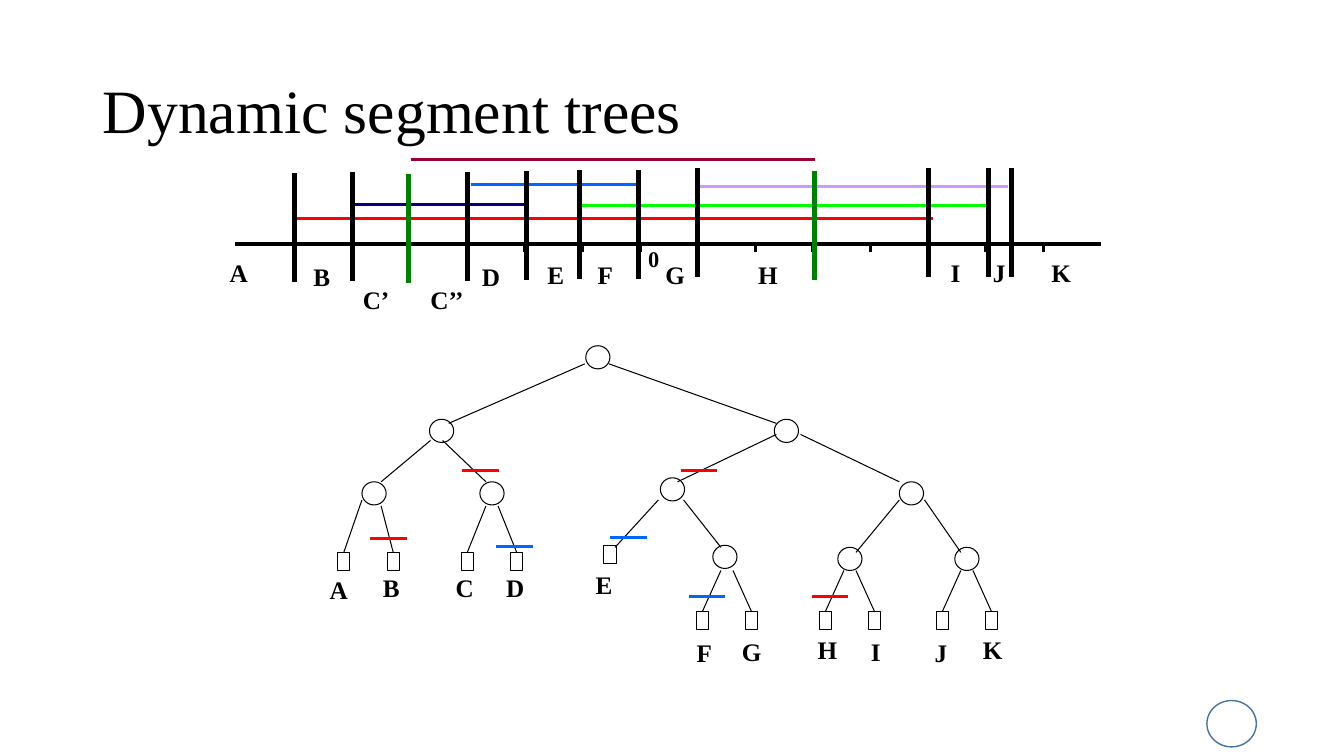
from pptx import Presentation
from pptx.dml.color import RGBColor
from pptx.enum.shapes import MSO_CONNECTOR, MSO_SHAPE
from pptx.enum.text import MSO_ANCHOR, PP_ALIGN
from pptx.oxml.ns import qn
from pptx.util import Inches, Pt
from lxml import etree

STRAIGHT = MSO_CONNECTOR.STRAIGHT
OVAL, RECT = MSO_SHAPE.OVAL, MSO_SHAPE.RECTANGLE
MIDDLE, LEFT = MSO_ANCHOR.MIDDLE, PP_ALIGN.LEFT
FONT = "Times New Roman"
BLACK = RGBColor(0x00, 0x00, 0x00)
RED = RGBColor(0xFF, 0x00, 0x00)
BLUE = RGBColor(0x00, 0x66, 0xFF)
NAVY = RGBColor(0x00, 0x00, 0x80)
LIME = RGBColor(0x00, 0xFF, 0x00)
GREEN = RGBColor(0x00, 0x80, 0x00)
LILAC = RGBColor(0xCC, 0x99, 0xFF)
WINE = RGBColor(0x99, 0x00, 0x33)
STEEL = RGBColor(0x43, 0x73, 0x9E)

deck = Presentation()
deck.slide_width, deck.slide_height = Inches(13.33), Inches(7.5)
slide = deck.slides.add_slide(deck.slide_layouts[5])
shapes = slide.shapes


def add_line(x1, y1, x2, y2, color=BLACK, width=0.75):
    line = shapes.add_connector(STRAIGHT, Inches(x1), Inches(y1), Inches(x2), Inches(y2))
    line.line.color.rgb = color
    line.line.width = Pt(width)
    etree.SubElement(line._element.spPr, qn("a:effectLst"))


def add_node(kind, x, y, w, h, color=BLACK, width=0.75):
    node = shapes.add_shape(kind, Inches(x), Inches(y), Inches(w), Inches(h))
    node.shadow.inherit = False
    node.fill.background()
    node.line.color.rgb = color
    node.line.width = Pt(width)


# Title
title = shapes.title
title.left, title.top = Inches(0.92), Inches(0.4)
title.width, title.height = Inches(11.5), Inches(1.45)
frame = title.text_frame
frame.text = "Dynamic segment trees"
frame.vertical_anchor = MIDDLE
para = frame.paragraphs[0]
para.alignment = LEFT
para.line_spacing = 0.9
para.font.size = Pt(44)
para.font.name = FONT
para.font.color.rgb = BLACK

# Page number ring
add_node(OVAL, 11.97, 6.95, 0.49, 0.46, STEEL, 1)

# Segments above the axis
for x1, x2, y, color, width in [
    (5.75, 9.83, 2.04, LIME, 2), (6.92, 10, 1.85, LILAC, 2),
    (3.5, 5.25, 2.03, NAVY, 2), (4.67, 6.33, 1.83, BLUE, 2),
    (2.92, 9.25, 2.17, RED, 2), (4.08, 8.08, 1.58, WINE, 2.5),
]:
    add_line(x1, y, x2, y, color, width)

# Axis with even ticks
add_line(2.33, 2.42, 10.92, 2.42, BLACK, 2.5)
for i in range(14):
    tick = 2.92 + i * 7.43 / 13
    add_line(tick, 2.42, tick, 2.5, BLACK, 2.5)

# Segment end bars
for x, top, color in [
    (2.92, 1.72, BLACK), (3.5, 1.71, BLACK), (4.64, 1.71, BLACK),
    (5.22, 1.7, BLACK), (5.75, 1.69, BLACK), (6.33, 1.69, BLACK),
    (6.92, 1.67, BLACK), (9.21, 1.67, BLACK), (9.8, 1.67, BLACK),
    (10.03, 1.67, BLACK), (4.05, 1.73, GREEN), (8.08, 1.7, GREEN),
]:
    add_line(x, top, x, top + 1.08, color, 3.5)

# Inner tree nodes
for x, y in [
    (5.81, 3.43), (4.26, 4.16), (7.68, 4.16), (3.59, 4.78), (4.76, 4.78),
    (6.55, 4.74), (8.92, 4.78), (7.07, 5.41), (8.31, 5.43), (9.47, 5.43),
]:
    add_node(OVAL, x, y, 0.24, 0.23)

# Tree edges
for edge in [
    (5.8, 3.61, 4.45, 4.2), (6.04, 3.61, 7.7, 4.2),
    (4.27, 4.37, 3.78, 4.78), (4.39, 4.37, 4.82, 4.78),
    (7.7, 4.31, 6.72, 4.78), (7.94, 4.31, 8.92, 4.78),
    (3.59, 4.96, 3.41, 5.48), (3.78, 5.02, 3.9, 5.48),
    (6.53, 4.96, 6.1, 5.43), (6.78, 4.96, 7.15, 5.43),
    (8.92, 4.96, 8.49, 5.48), (9.17, 4.96, 9.53, 5.48),
]:
    add_line(*edge)

# Leaves: single ones, then pairs below a shared parent
leaves = [(3.41, 5.48), (3.9, 5.48), (6.05, 5.41)]
for mid, top, base in [
    (4.88, 5.02, 5.48), (7.21, 5.66, 6.07), (8.43, 5.66, 6.07), (9.59, 5.66, 6.07),
]:
    for side in (-1, 1):
        leaf = mid + side * 0.245
        add_line(mid + side * 0.06, top, leaf, base)
        leaves.append((leaf, base))
for x, y in leaves:
    add_node(RECT, x - 0.06, y, 0.12, 0.18)

# Segment marks on the tree
for x, y, color in [
    (4.92, 5.42, BLUE), (6.05, 5.33, BLUE), (6.83, 5.92, BLUE), (3.67, 5.34, RED),
    (4.58, 4.67, RED), (6.75, 4.67, RED), (8.05, 5.92, RED),
]:
    add_line(x, y, x + 0.365, y, color, 2)

# Labels: text, left, top, width, size, turn
axis = [
    ("A", 2.18, 2.5), ("B", 3.01, 2.54), ("D", 4.68, 2.54), ("E", 5.33, 2.52),
    ("F", 5.83, 2.52), ("G", 6.5, 2.52), ("H", 7.42, 2.52), ("I", 9.33, 2.5),
    ("J", 9.75, 2.5), ("K", 10.33, 2.5),
]
tree = [
    ("A", 3.17, 5.65, 0.38), ("B", 3.7, 5.63, 0.37), ("C", 4.42, 5.63, 0.38),
    ("D", 4.92, 5.63, 0.38), ("E", 5.81, 5.6, 0.37), ("F", 6.81, 6.27, 0.35),
    ("G", 7.26, 6.26, 0.4), ("H", 8.01, 6.24, 0.4), ("I", 8.54, 6.26, 0.3),
    ("J", 9.17, 6.27, 0.33), ("K", 9.65, 6.24, 0.4),
]
labels = [(*spot, 0.42, 18, 0) for spot in axis]
labels += [(*spot, 18, 359.8) for spot in tree]
labels += [
    ("0", 6.33, 2.38, 0.31, 16, 0),
    ("C’", 3.5, 2.77, 0.5, 18, 0),
    ("C’’", 4.17, 2.77, 0.67, 18, 0),
]
for text, x, y, width, size, turn in labels:
    box = shapes.add_textbox(Inches(x), Inches(y), Inches(width), Inches(0.4))
    box.rotation = turn
    box.text_frame.text = text
    box.text_frame.word_wrap = width > 0.4
    font = box.text_frame.paragraphs[0].runs[0].font
    font.name = FONT
    font.size = Pt(size)
    font.bold = True
    font.color.rgb = BLACK

deck.save("out.pptx")
